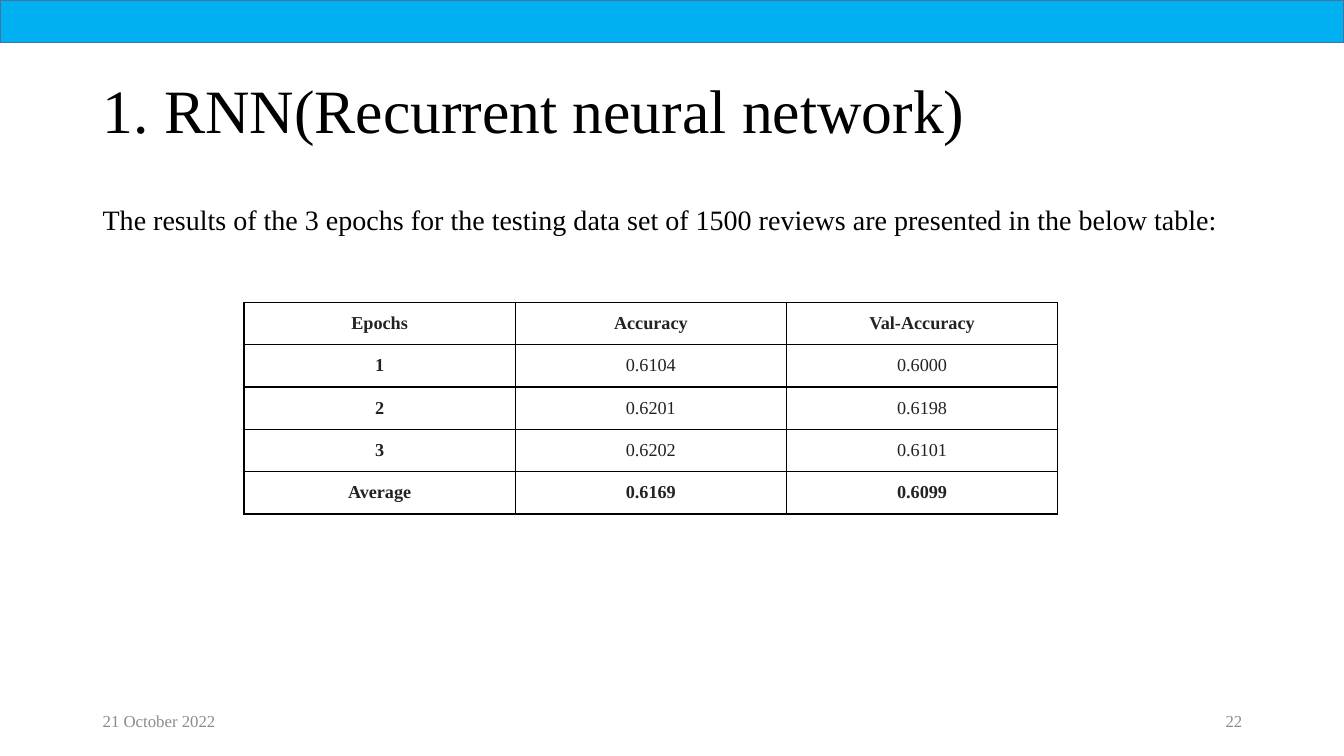
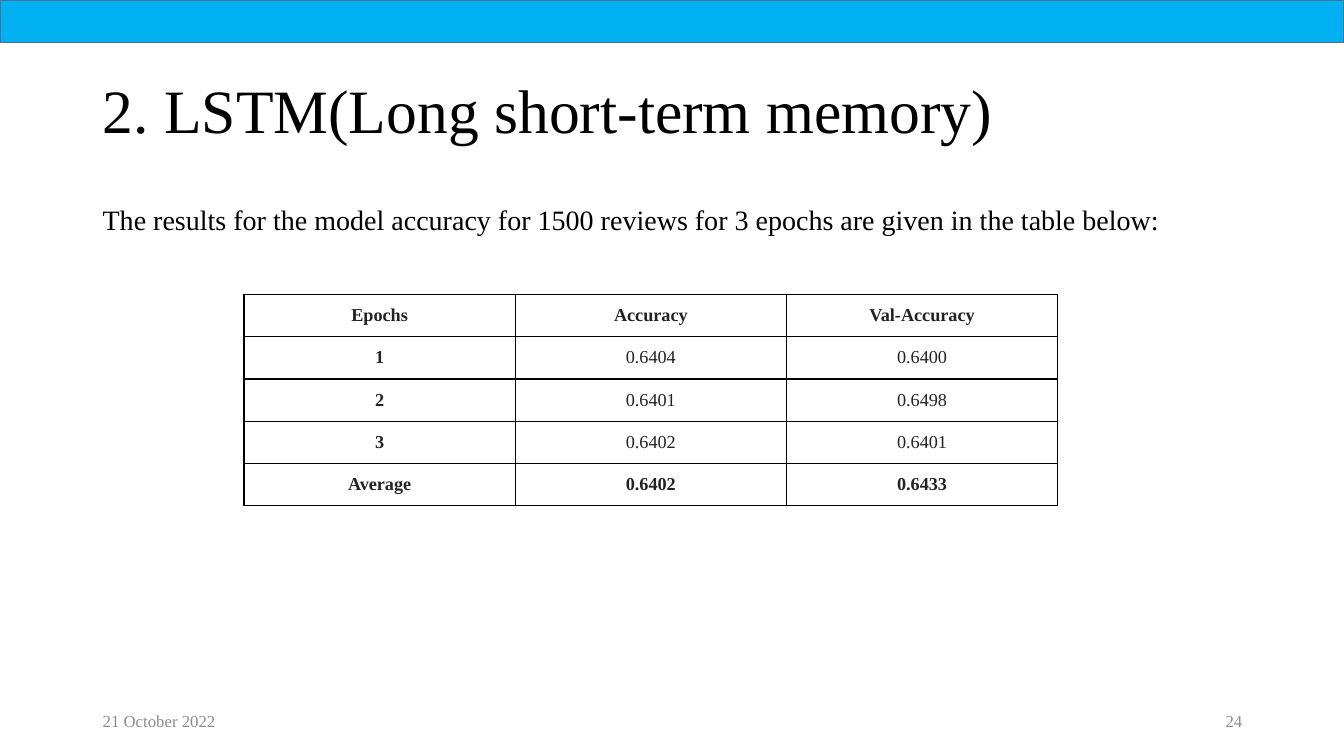
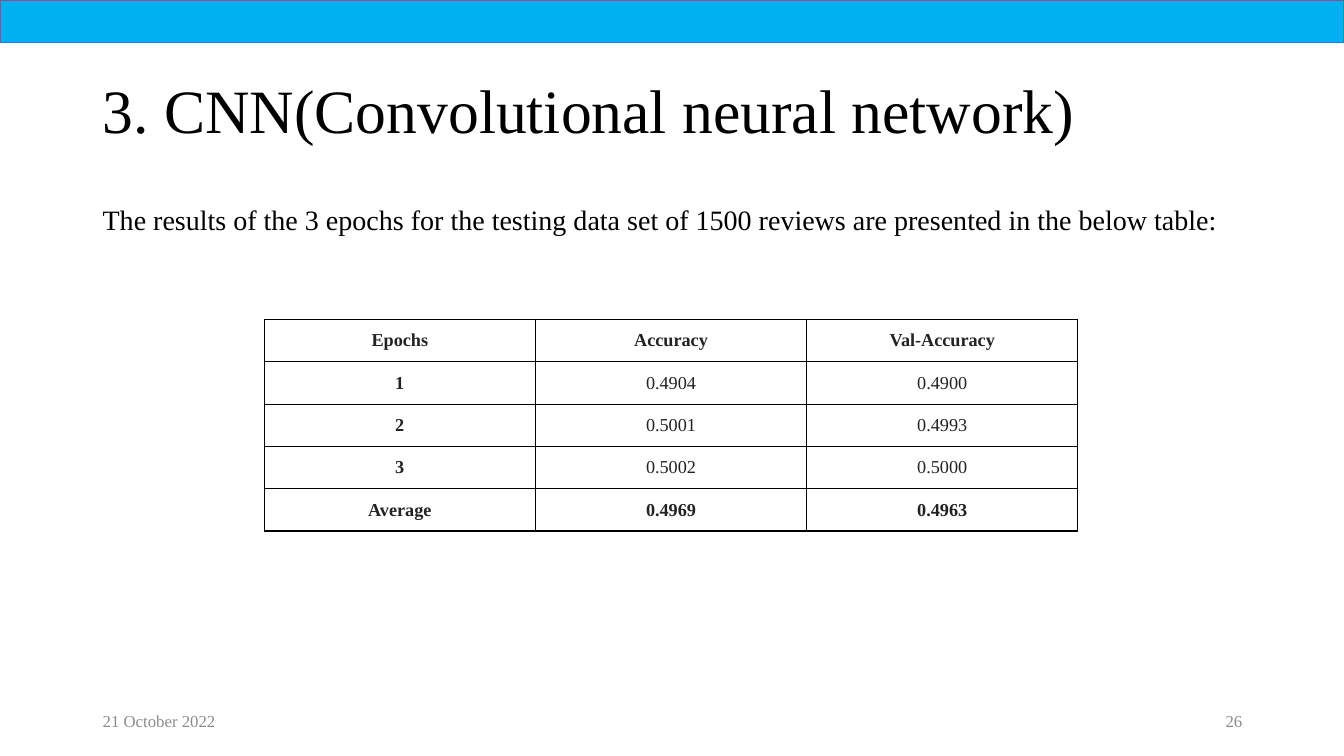
from lxml.etree import SubElement
from pptx import Presentation
from pptx.dml.color import RGBColor
from pptx.enum.shapes import MSO_SHAPE as Shape
from pptx.enum.text import MSO_ANCHOR as Anchor, PP_ALIGN as Align
from pptx.oxml.ns import qn
from pptx.util import Inches, Pt

FONT = "Times New Roman"
BLUE, EDGE, BLACK, INK, GRAY = "00B0F0", "43739E", "000000", "232323", "8C8C8C"
WIDE, TALL = 13.33, 7.5
LEFT, SPAN = 0.92, 11.5
COL, ROW = 2.69, 0.42

TITLE = dict(size=44, color=BLACK, para=dict(line_spacing=0.9))
BODY = dict(size=20, color=BLACK, para=dict(
    alignment=Align.JUSTIFY, line_spacing=0.9, space_before=Pt(10)))
DATE = dict(size=12, color=GRAY, para=dict(alignment=Align.LEFT))
PAGE = dict(size=12, color=GRAY, para=dict(alignment=Align.RIGHT))
CELL = dict(size=13, color=INK, para=dict(alignment=Align.CENTER))

EPOCHS = "The results of the 3 epochs for the testing data set of 1500 reviews are presented in the below table:"
MODEL = "The results for the model accuracy for 1500 reviews for 3 epochs are given in the table below:"
HEAD = ("Epochs", "Accuracy", "Val-Accuracy")
LABELS = ("1", "2", "3", "Average")

SLIDES = [
    ("1. RNN(Recurrent neural network)", EPOCHS, "22", (2.42, 3),
     [("0.6104", "0.6000"), ("0.6201", "0.6198"),
      ("0.6202", "0.6101"), ("0.6169", "0.6099")]),
    ("2. LSTM(Long short-term memory)", MODEL, "24", (2.42, 2.92),
     [("0.6404", "0.6400"), ("0.6401", "0.6498"),
      ("0.6402", "0.6401"), ("0.6402", "0.6433")]),
    ("3. CNN(Convolutional neural network)", EPOCHS, "26", (2.62, 3.17),
     [("0.4904", "0.4900"), ("0.5001", "0.4993"),
      ("0.5002", "0.5000"), ("0.4969", "0.4963")]),
]


def paint(color, code):
    color.rgb = RGBColor.from_string(code)


def write(frame, text, look, bold=False):
    para = frame.paragraphs[0]
    for name, value in look["para"].items():
        setattr(para, name, value)
    run = para.add_run()
    run.text = text
    style = dict(name=FONT, size=Pt(look["size"]), bold=bold)
    for name, value in style.items():
        setattr(run.font, name, value)
    paint(run.font.color, look["color"])


deck = Presentation()
deck.slide_width, deck.slide_height = Inches(WIDE), Inches(TALL)

for title, lead, page, (left, top), scores in SLIDES:
    slide = deck.slides.add_slide(deck.slide_layouts[6])
    shapes = slide.shapes

    band = shapes.add_shape(Shape.RECTANGLE, 0, 0, Inches(WIDE), Inches(0.42))
    band.shadow.inherit = False
    band.fill.solid()
    paint(band.fill.fore_color, BLUE)
    paint(band.line.color, EDGE)
    band.line.width = Pt(1)

    boxes = [
        (title, TITLE, (LEFT, 0.4, SPAN, 1.45), Anchor.MIDDLE),
        (lead, BODY, (LEFT, 2, SPAN, 4.76), Anchor.TOP),
        ("21 October 2022", DATE, (LEFT, 6.95, 3, 0.4), Anchor.MIDDLE),
        (page, PAGE, (LEFT + SPAN - 3, 6.95, 3, 0.4), Anchor.MIDDLE),
    ]
    for text, look, place, anchor in boxes:
        frame = shapes.add_textbox(*map(Inches, place)).text_frame
        frame.word_wrap = True
        frame.vertical_anchor = anchor
        write(frame, text, look)

    rows = [HEAD] + [(label, *pair) for label, pair in zip(LABELS, scores)]
    size = (COL * len(HEAD), ROW * len(rows))
    table = shapes.add_table(len(rows), len(HEAD),
                             *map(Inches, (left, top, *size))).table
    table.first_row = table.horz_banding = False
    for col in table.columns:
        col.width = Inches(COL)
    for r, row in enumerate(rows):
        table.rows[r].height = Inches(ROW)
        for c, text in enumerate(row):
            cell = table.cell(r, c)
            layout = dict(vertical_anchor=Anchor.MIDDLE,
                          margin_left=Inches(0.07), margin_right=Inches(0.07),
                          margin_top=0, margin_bottom=0)
            for name, value in layout.items():
                setattr(cell, name, value)
            props = cell._tc.get_or_add_tcPr()
            for side in ("a:lnL", "a:lnR", "a:lnT", "a:lnB"):
                line = SubElement(props, qn(side), w=str(Pt(1)))
                fill = SubElement(line, qn("a:solidFill"))
                SubElement(fill, qn("a:srgbClr"), val=BLACK)
            cell.fill.background()
            bold = c == 0 or r in (0, len(rows) - 1)
            write(cell.text_frame, text, CELL, bold)

deck.save("out.pptx")
